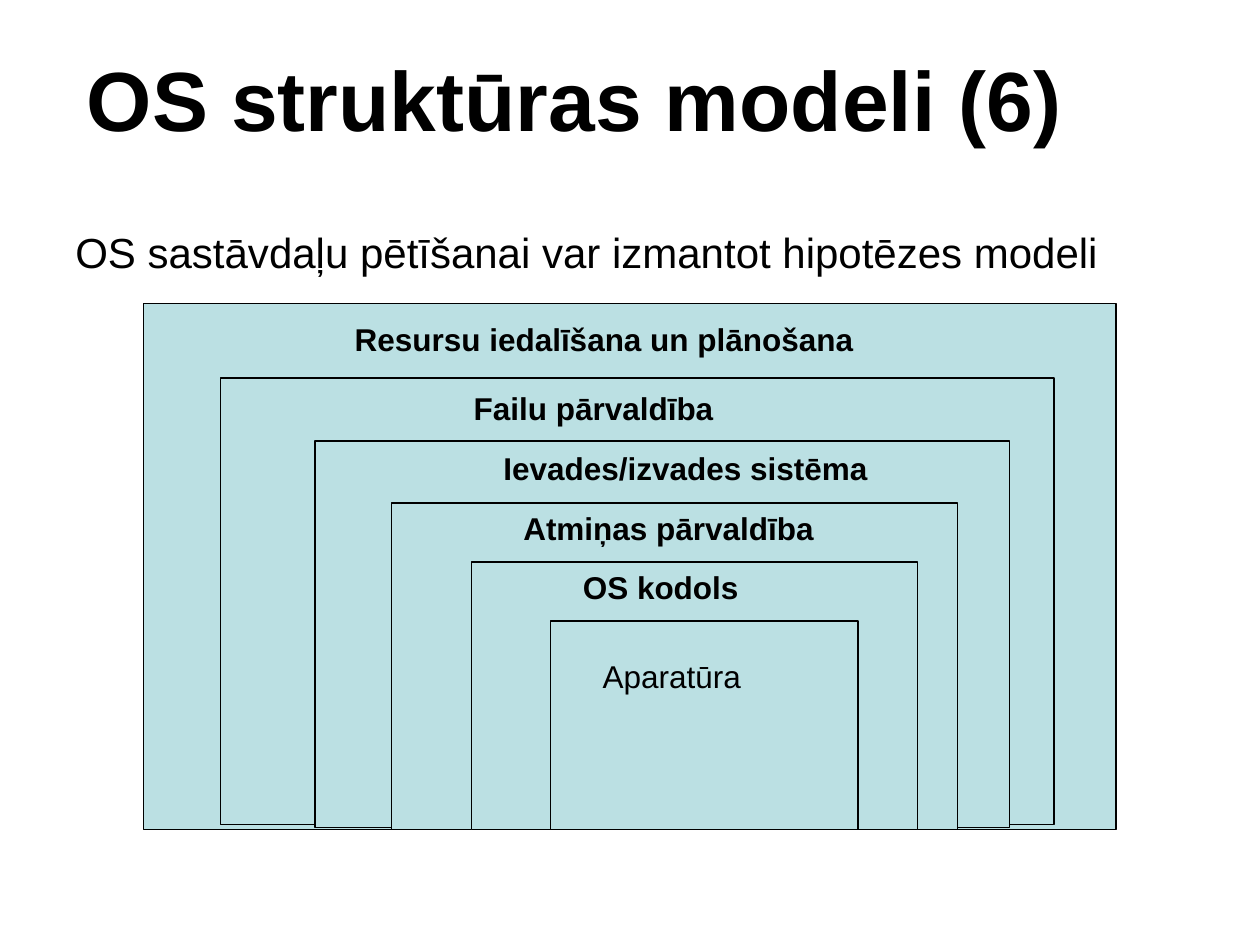
import pptx
import pptx.util
import pptx.dml.color
import pptx.enum.shapes
import pptx.enum.text

Cm = pptx.util.Cm
Pt = pptx.util.Pt

BLACK = pptx.dml.color.RGBColor(0x00, 0x00, 0x00)
LAYER_FILL = pptx.dml.color.RGBColor(0xBB, 0xE0, 0xE3)
FONT = "Arial"
LABEL_HEIGHT = 1.02

TITLE = "OS struktūras modeli (6)"
INTRODUCTION = "OS sastāvdaļu pētīšanai var izmantot hipotēzes modeli"

LAYERS = [
    {"label": "Resursu iedalīšana un plānošana", "box": (2.9, 6.12, 19.6, 10.6), "label_at": (6.9, 6.33, 10.7), "bold": True},
    {"label": "Failu pārvaldība", "box": (4.45, 7.62, 16.8, 9), "label_at": (9.3, 7.72, 5.5), "bold": True},
    {"label": "Ievades/izvades sistēma", "box": (6.35, 8.89, 14, 7.8), "label_at": (9.9, 8.92, 8), "bold": True},
    {"label": "Atmiņas pārvaldība", "box": (7.9, 10.14, 11.4, 6.58), "label_at": (10.3, 10.14, 6.5), "bold": True},
    {"label": "OS kodols", "box": (9.5, 11.33, 9, 5.4), "label_at": (11.5, 11.33, 3.8), "bold": True},
    {"label": "Aparatūra", "box": (11.1, 12.52, 6.2, 4.2), "label_at": (11.9, 13.13, 3.6), "bold": False},
]


def add_text(slide, text, box, size, bold=False):
    shape = slide.shapes.add_textbox(*map(Cm, box))
    text_frame = shape.text_frame
    text_frame.word_wrap = True
    text_frame.text = text
    paragraph = text_frame.paragraphs[0]
    font = paragraph.runs[0].font
    font.name = FONT
    font.size = Pt(size)
    font.bold = bold
    font.color.rgb = BLACK
    return text_frame


def add_layer(slide, box):
    shape = slide.shapes.add_shape(
        pptx.enum.shapes.MSO_SHAPE.RECTANGLE, *map(Cm, box)
    )
    shape.shadow.inherit = False
    shape.fill.solid()
    shape.fill.fore_color.rgb = LAYER_FILL
    shape.line.color.rgb = BLACK
    shape.line.width = Pt(0.75)


def main():
    presentation = pptx.Presentation()
    presentation.slide_width = Cm(25.4)
    presentation.slide_height = Cm(19.05)
    slide = presentation.slides.add_slide(presentation.slide_layouts[6])

    title = add_text(slide, TITLE, (1.5, 0.72, 21.4, 2.5), 48, bold=True)
    title.vertical_anchor = pptx.enum.text.MSO_ANCHOR.MIDDLE
    introduction = add_text(slide, INTRODUCTION, (1.27, 4.45, 22.86, 12.57), 24)
    introduction.paragraphs[0].space_before = Pt(3)

    for layer in LAYERS:
        add_layer(slide, layer["box"])
    for layer in LAYERS:
        label_box = (*layer["label_at"], LABEL_HEIGHT)
        label = add_text(slide, layer["label"], label_box, 18, layer["bold"])
        label.word_wrap = False

    presentation.save("out.pptx")


if __name__ == "__main__":
    main()
